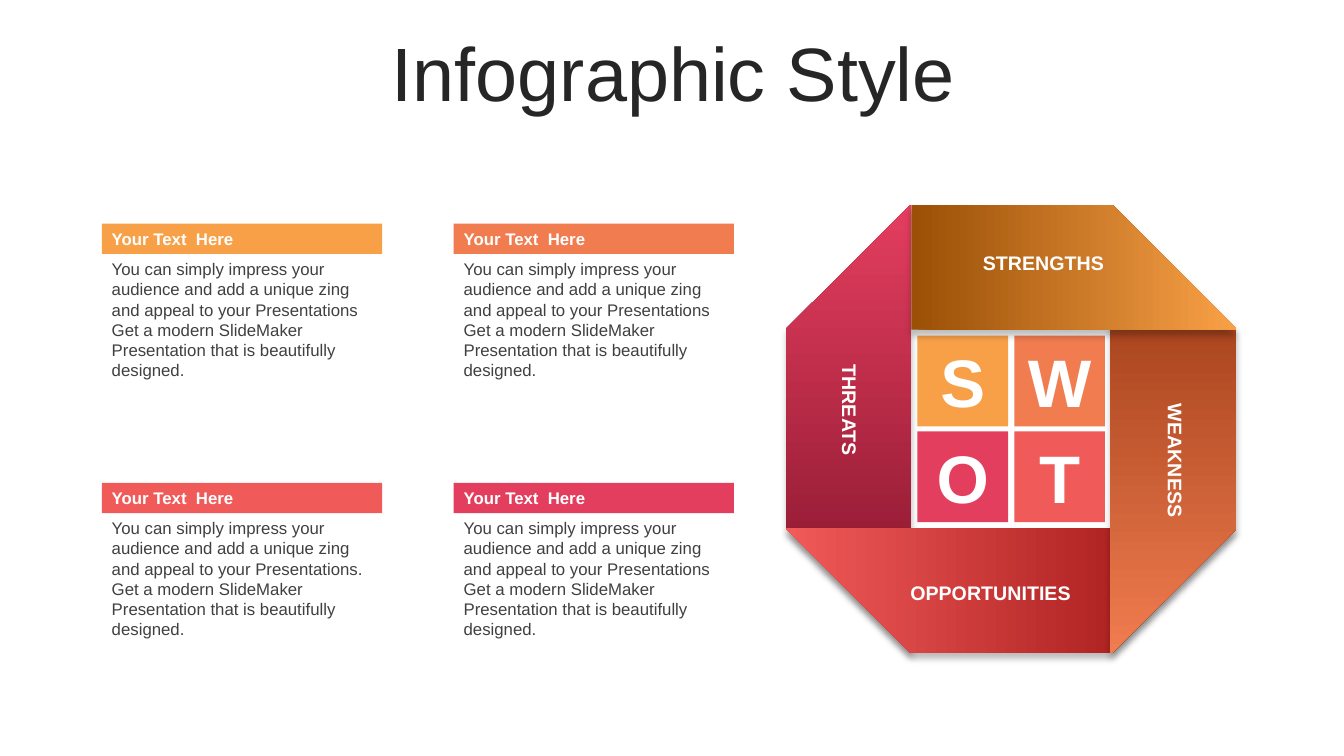
from lxml.etree import SubElement
from pptx import Presentation
from pptx.dml.color import RGBColor
from pptx.enum.shapes import MSO_SHAPE
from pptx.enum.text import MSO_ANCHOR, PP_ALIGN
from pptx.oxml.ns import qn
from pptx.util import Pt

PX = 9144
FONT = "Arial"
WHITE = RGBColor(0xFF, 0xFF, 0xFF)
INK = RGBColor(0x26, 0x26, 0x26)
GREY = RGBColor(0x40, 0x40, 0x40)
AMBER = RGBColor(0xF8, 0xA0, 0x47)
ORANGE = RGBColor(0xF0, 0x7C, 0x4F)
CORAL = RGBColor(0xF0, 0x5A, 0x59)
ROSE = RGBColor(0xE4, 0x3E, 0x5F)
BROWN = RGBColor(0x9A, 0x50, 0x06)
RUST = RGBColor(0x90, 0x31, 0x0C)
BRICK = RGBColor(0x97, 0x0F, 0x0E)
WINE = RGBColor(0x7F, 0x12, 0x28)

HEAD = "Your Text  Here"
BODY = ("You can simply impress your audience and add a unique zing and appeal "
        "to your Presentations{} Get a modern SlideMaker Presentation that is "
        "beautifully designed.")
CARDS = [(AMBER, ""), (ORANGE, ""), (CORAL, "."), (ROSE, "")]
TILES = [("S", AMBER), ("W", ORANGE), ("O", ROSE), ("T", CORAL)]
RIBBONS = [
    ([(904, 648), (903, 648), (780, 525), (780, 326), (903, 203), (904, 203)],
     WINE, ROSE, 90),
    ([(780, 524), (1226, 524), (1226, 525), (1103, 648), (903, 648), (780, 525)],
     BRICK, CORAL, 180),
    ([(1101, 203), (1103, 203), (1226, 326), (1226, 525), (1103, 648), (1101, 648)],
     RUST, ORANGE, 270),
    ([(904, 203), (1103, 203), (1226, 326), (1226, 327), (904, 327)],
     BROWN, AMBER, 0),
]
LABELS = [
    ("STRENGTHS", (923, 246, 224, 30), 0),
    ("THREATS", (732, 392, 222, 30), 90),
    ("WEAKNESS", (1055, 442, 222, 30), 90),
    ("OPPORTUNITIES", (861, 573, 243, 30), 0),
]


def scale(box):
    return [n * PX for n in box]


def write(shape, text, size=12, color=WHITE, bold=False,
          align=PP_ALIGN.LEFT, anchor=MSO_ANCHOR.MIDDLE):
    frame = shape.text_frame
    frame.word_wrap = True
    frame.vertical_anchor = anchor
    para = frame.paragraphs[0]
    para.alignment = align
    run = para.add_run()
    run.text = text
    font = run.font
    font.name, font.size, font.bold = FONT, Pt(size), bold
    font.color.rgb = color
    return para


def add_title(slide, text):
    title = slide.shapes.title
    title.left, title.top, title.width, title.height = scale((35, 37, 1266, 79))
    para = write(title, text, size=54, color=INK, align=PP_ALIGN.CENTER)
    para.line_spacing = 0.9


def add_rect(slide, box, color):
    rect = slide.shapes.add_shape(MSO_SHAPE.RECTANGLE, *scale(box))
    rect.shadow.inherit = False
    rect.fill.solid()
    rect.fill.fore_color.rgb = color
    rect.line.fill.background()
    return rect


def add_label(slide, text, box, turn=0, **style):
    label = slide.shapes.add_textbox(*scale(box))
    label.rotation = turn
    write(label, text, **style)


def add_card(slide, left, top, color, stop):
    bar = add_rect(slide, (left, top, 278, 30), color)
    write(bar, HEAD, bold=True)
    add_label(slide, BODY.format(stop), (left, top + 30, 278, 131),
              color=GREY, anchor=MSO_ANCHOR.TOP)


def cast_shadow(shape):
    shape.shadow.inherit = False
    effects = shape.element.spPr.find(qn("a:effectLst"))
    outer = SubElement(effects, qn("a:outerShdw"), blurRad=str(Pt(5)),
                       dist=str(Pt(4)), dir="5400000", algn="t", rotWithShape="0")
    black = SubElement(outer, qn("a:srgbClr"), val="000000")
    SubElement(black, qn("a:alpha"), val="25000")


def add_ribbon(slide, points, dark, light, angle):
    pen = slide.shapes.build_freeform(*points[0], scale=PX)
    pen.add_line_segments(points[1:], close=True)
    ribbon = pen.convert_to_shape()
    ribbon.line.fill.background()
    ribbon.fill.gradient()
    ribbon.fill.gradient_angle = angle
    for stop, color in zip(ribbon.fill.gradient_stops, (dark, light)):
        stop.color.rgb = color
    cast_shadow(ribbon)


def main():
    deck = Presentation()
    deck.slide_width, deck.slide_height = scale((1333, 750))
    slide = deck.slides.add_slide(deck.slide_layouts[5])
    add_title(slide, "Infographic Style")
    for i, (text, color) in enumerate(TILES):
        row, col = divmod(i, 2)
        tile = add_rect(slide, (910 + 96 * col, 333 + 95 * row, 90, 90), color)
        write(tile, text, size=48, bold=True, align=PP_ALIGN.CENTER)
    for ribbon in RIBBONS:
        add_ribbon(slide, *ribbon)
    for text, box, turn in LABELS:
        add_label(slide, text, box, turn, size=14, bold=True, align=PP_ALIGN.CENTER)
    for i, (color, stop) in enumerate(CARDS):
        row, col = divmod(i, 2)
        add_card(slide, 101 + 349 * col, 222 + 257 * row, color, stop)
    deck.save("out.pptx")


if __name__ == "__main__":
    main()
